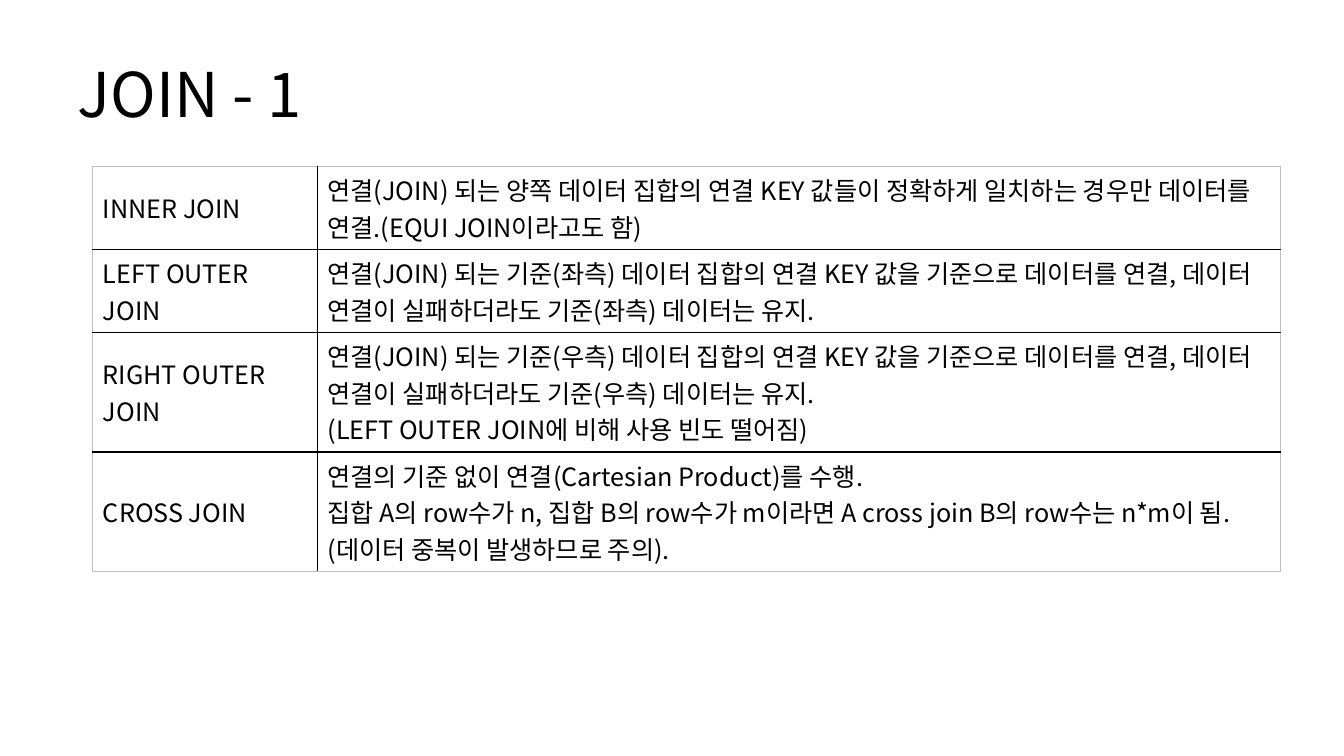
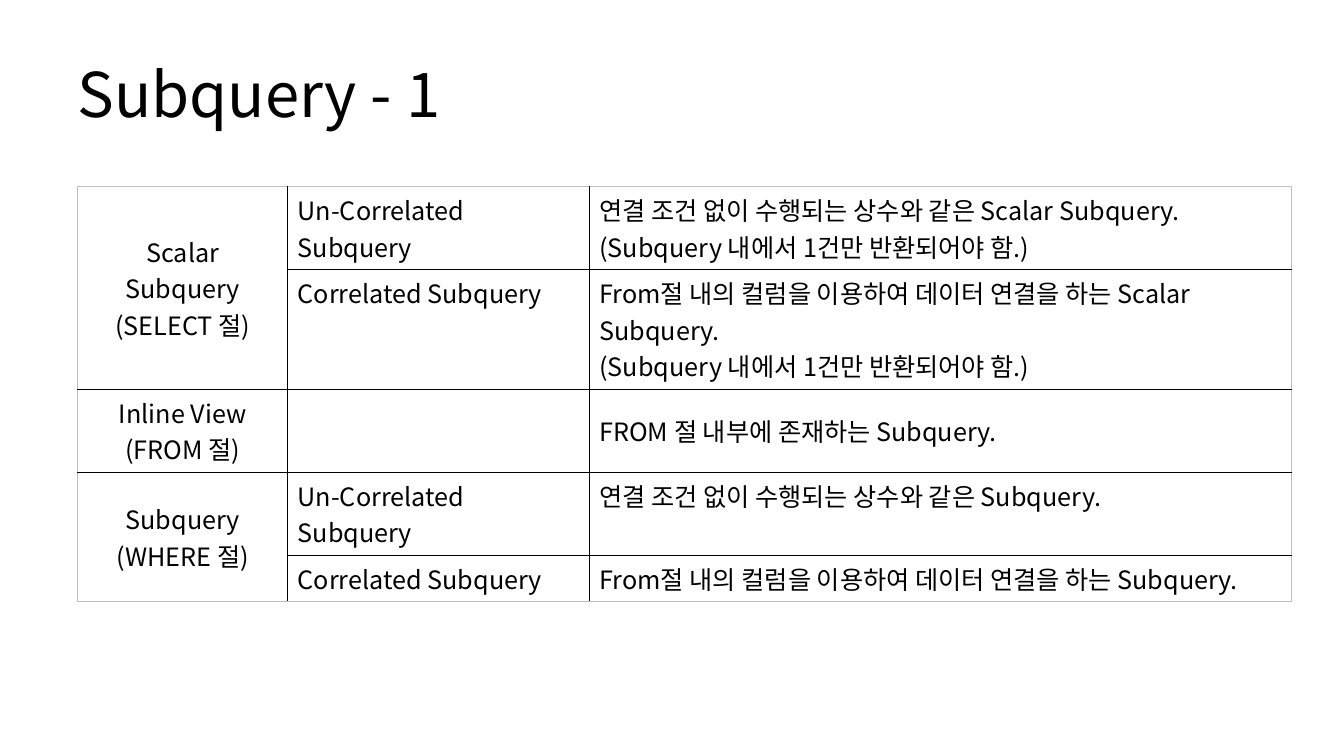
from lxml.etree import SubElement
from pptx import Presentation
from pptx.dml.color import RGBColor
from pptx.enum.text import MSO_ANCHOR as Anchor, PP_ALIGN as Align
from pptx.oxml.ns import qn
from pptx.util import Cm, Pt

FONT = "Noto Sans CJK KR"
BLACK = RGBColor(0x00, 0x00, 0x00)
WHITE = RGBColor(0xFF, 0xFF, 0xFF)
GREY = RGBColor(0xBF, 0xBF, 0xBF)


def write(frame, text, size=18, align=Align.LEFT, anchor=Anchor.TOP):
    """Fill a text frame: "\\n" starts a paragraph, "\\v" breaks a line."""
    frame.text = text
    frame.vertical_anchor = anchor
    for para in frame.paragraphs:
        para.alignment = align
        for span in para.runs:
            span.font.name = FONT
            span.font.size = Pt(size)
            span.font.color.rgb = BLACK
            SubElement(span.font._element, qn("a:ea"), typeface=FONT)


def draw_borders(cell, colors):
    """Give a cell one line for each named side."""
    properties = cell._tc.get_or_add_tcPr()
    for side, color in colors.items():
        line = SubElement(properties, qn(f"a:{side}"), w=str(Pt(1)))
        fill = SubElement(line, qn("a:solidFill"))
        SubElement(fill, qn("a:srgbClr"), val=str(color))


# Content: None marks a cell covered by the one above
join_rows = [
    ["INNER JOIN",
     "연결(JOIN) 되는 양쪽 데이터 집합의 연결 KEY 값들이 정확하게 일치하는 경우만 "
     "데이터를 연결.(EQUI JOIN이라고도 함)"],
    ["LEFT OUTER JOIN",
     "연결(JOIN) 되는 기준(좌측) 데이터 집합의 연결 KEY 값을 기준으로 데이터를 연결, "
     "데이터 연결이 실패하더라도 기준(좌측) 데이터는 유지."],
    ["RIGHT OUTER JOIN",
     "연결(JOIN) 되는 기준(우측) 데이터 집합의 연결 KEY 값을 기준으로 데이터를 연결, "
     "데이터 연결이 실패하더라도 기준(우측) 데이터는 유지.\v"
     "(LEFT OUTER JOIN에 비해 사용 빈도 떨어짐)"],
    ["CROSS JOIN",
     "연결의 기준 없이 연결(Cartesian Product)를 수행.\v"
     "집합 A의 row수가 n, 집합 B의 row수가 m이라면 A cross join B의 row수는 "
     "n*m이 됨.(데이터 중복이 발생하므로 주의)."],
]
subquery_rows = [
    ["Scalar Subquery\v(SELECT 절)", "Un-Correlated Subquery",
     "연결 조건 없이 수행되는 상수와 같은 Scalar Subquery.\v"
     "(Subquery 내에서 1건만 반환되어야 함.)"],
    [None, "Correlated Subquery",
     "From절 내의 컬럼을 이용하여 데이터 연결을 하는 Scalar Subquery.\n"
     "(Subquery 내에서 1건만 반환되어야 함.)"],
    ["Inline View\v(FROM 절)", "", "FROM 절 내부에 존재하는 Subquery."],
    ["Subquery\n(WHERE 절)", "Un-Correlated Subquery",
     "연결 조건 없이 수행되는 상수와 같은 Subquery."],
    [None, "Correlated Subquery",
     "From절 내의 컬럼을 이용하여 데이터 연결을 하는 Subquery."],
]

# Title, table left and top, column widths, row heights, label alignment, rows
pages = [
    ("JOIN - 1", 2.34, 4.19, [5.66, 24.27], [1.78, 1.78, 2.54, 2.54],
     Align.LEFT, join_rows),
    ("Subquery - 1", 1.96, 4.7, [5.29, 7.6, 17.69], [1.78, 2.54, 1.78, 1.04, 1.04],
     Align.CENTER, subquery_rows),
]

deck = Presentation()
deck.slide_width, deck.slide_height = Cm(33.87), Cm(19.05)

for heading, left, top, widths, heights, label_align, rows in pages:
    page = deck.slides.add_slide(deck.slide_layouts[5])

    # Title
    title = page.shapes.title
    title.left, title.top, title.width, title.height = Cm(1.7), Cm(0.76), Cm(30.48), Cm(3.18)
    write(title.text_frame, heading, size=44, anchor=Anchor.MIDDLE)

    # Table grid
    table = page.shapes.add_table(len(rows), len(widths), Cm(left), Cm(top),
                                  Cm(sum(widths)), Cm(sum(heights))).table
    table.first_row = table.horz_banding = False
    for column, width in zip(table.columns, widths):
        column.width = Cm(width)
    for row, height in zip(table.rows, heights):
        row.height = Cm(height)
    for r, texts in enumerate(rows):
        if texts[0] is None:
            table.cell(r - 1, 0).merge(table.cell(r, 0))

    # Cells: grey outer frame, black inner lines
    for r, texts in enumerate(rows):
        for c, text in enumerate(texts):
            cell = table.cell(r, c)
            last_row = r + (cell.span_height if cell.is_merge_origin else 1) == len(rows)
            colors = {
                "lnL": GREY if c == 0 else BLACK,
                "lnR": GREY if c == len(widths) - 1 else BLACK,
                "lnT": GREY if r == 0 else BLACK,
                "lnB": GREY if last_row else BLACK,
            }
            if cell.is_spanned:
                del colors["lnT"]
            draw_borders(cell, colors)
            cell.fill.solid()
            cell.fill.fore_color.rgb = WHITE
            if text:
                centred = c == 0 or not texts[1]
                write(cell.text_frame, text,
                      align=label_align if c == 0 else Align.LEFT)
                cell.vertical_anchor = Anchor.MIDDLE if centred else Anchor.TOP

deck.save("out.pptx")
